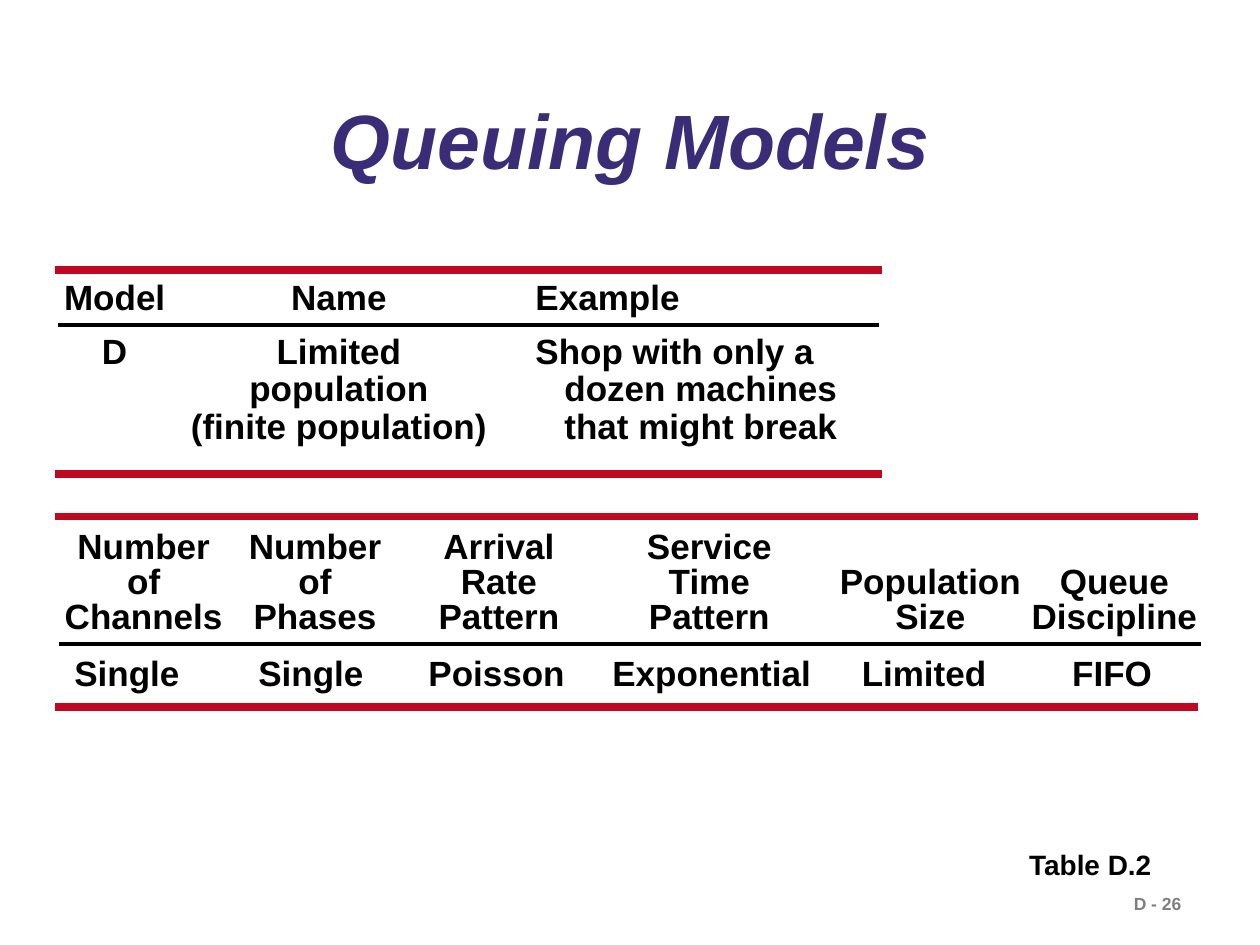
from dataclasses import dataclass

from lxml import etree
from pptx import Presentation
from pptx import util as u
from pptx.dml import color as c
from pptx.enum import shapes, text
from pptx.oxml import ns

LEFT, CENTER = text.PP_ALIGN.LEFT, text.PP_ALIGN.CENTER
TOP, BOTTOM = text.MSO_ANCHOR.TOP, text.MSO_ANCHOR.BOTTOM


@dataclass(frozen=True)
class Theme:
    """Colours, font and type sizes of the slide."""
    font: str = "Arial"
    title: str = "3A2C76"
    ink: str = "000000"
    rule: str = "BF0922"
    muted: str = "7F7F7F"
    title_pt: float = 44
    table_pt: float = 20
    caption_pt: float = 16
    number_pt: float = 10
    rule_pt: float = 4.5
    header_rule_pt: float = 2.25


THEME = Theme()


@dataclass(frozen=True)
class RowStyle:
    """Layout shared by the cells of one table row."""
    aligns: tuple
    insets: tuple
    top: float = 0
    bottom: float = 0
    anchor: int = TOP
    spacing: float = 1.0
    hanging: float = 0


def style(p, size, color, align=LEFT, spacing=1.0, italic=False):
    """Format one paragraph in the bold slide font."""
    p.alignment, p.line_spacing = align, spacing
    f = p.font
    f.name, f.size, f.bold, f.italic = THEME.font, u.Pt(size), True, italic
    f.color.rgb = c.RGBColor.from_string(color)


def add_title(s, box, words):
    """Place the title placeholder in the box."""
    sp = s.shapes.title
    sp.left, sp.top, sp.width, sp.height = map(u.Inches, box)
    tf = sp.text_frame
    tf.text = words
    tf.auto_size = text.MSO_AUTO_SIZE.NONE
    tf.vertical_anchor = text.MSO_ANCHOR.MIDDLE
    style(tf.paragraphs[0], THEME.title_pt, THEME.title, CENTER, 0.9, True)


def add_label(s, box, words, size, color):
    """Add a single line of text in the box."""
    tf = s.shapes.add_textbox(*map(u.Inches, box)).text_frame
    tf.text = words
    style(tf.paragraphs[0], size, color)


def add_rule(s, left, right, y, color, width):
    """Draw a horizontal rule."""
    sp = s.shapes.add_connector(
        shapes.MSO_CONNECTOR.STRAIGHT, *map(u.Inches, (left, y, right, y)))
    sp.line.color.rgb = c.RGBColor.from_string(color)
    sp.line.width = u.Pt(width)
    etree.SubElement(sp._element.spPr, ns.qn("a:effectLst"))


def clear_cell(cell):
    """Remove the borders and fill of a cell."""
    tcPr = cell._tc.get_or_add_tcPr()
    for side in "LRTB":
        ln = etree.SubElement(tcPr, ns.qn(f"a:ln{side}"))
        etree.SubElement(ln, ns.qn("a:noFill"))
    cell.fill.background()


def fill_cell(cell, words, row, col):
    """Write and format one cell by its row style."""
    cell.text = words
    cell.vertical_anchor = row.anchor
    cell.margin_left, cell.margin_right = u.Inches(row.insets[col]), 0
    cell.margin_top, cell.margin_bottom = u.Inches(row.top), u.Inches(row.bottom)
    p = cell.text_frame.paragraphs[0]
    style(p, THEME.table_pt, THEME.ink, row.aligns[col], row.spacing)
    if row.hanging and row.aligns[col] == LEFT:
        pPr = p._p.get_or_add_pPr()
        pPr.set("marL", str(u.Inches(row.hanging)))
        pPr.set("indent", str(-u.Inches(row.hanging)))


def add_ruled_table(s, box, widths, heights, rows, styles, header_span):
    """Add a header and body row between heavy rules."""
    left, top, width, height = box
    table = s.shapes.add_table(len(rows), len(widths), *map(u.Inches, box)).table
    table.first_row = table.horz_banding = False
    for column, column_width in zip(table.columns, widths):
        column.width = u.Inches(column_width)
    for i, (words, row) in enumerate(zip(rows, styles)):
        table.rows[i].height = u.Inches(heights[i])
        for j, word in enumerate(words):
            cell = table.cell(i, j)
            clear_cell(cell)
            fill_cell(cell, word, row, j)
    add_rule(s, *header_span, top + heights[0], THEME.ink, THEME.header_rule_pt)
    for y in (top, top + height):
        add_rule(s, left, left + width, y, THEME.rule, THEME.rule_pt)


def add_model_table(s, box):
    """Add the table that names the model."""
    aligns, insets = (CENTER, CENTER, LEFT), (0, 0.02, 0.27)
    add_ruled_table(
        s, box, (0.94, 2.6, 3.02), (0.44, 1.18),
        [("Model", "Name", "Example"),
         ("D", "Limited\vpopulation\v(finite population)",
          "Shop with only a\vdozen machines\vthat might break")],
        [RowStyle(aligns, insets, top=0.07),
         RowStyle(aligns, insets, top=0.08, spacing=0.95, hanging=0.23)],
        (0.46, 6.98))


def add_traits_table(s, box):
    """Add the table of the model's traits."""
    add_ruled_table(
        s, box, (1.35, 1.4, 1.52, 1.84, 1.61, 1.35), (1.01, 0.5),
        [("Number\vof\vChannels", "Number\vof\vPhases", "Arrival\vRate\vPattern",
          "Service\vTime\vPattern", "Population\vSize", "Queue\vDiscipline"),
         ("Single", "Single", "Poisson", "Exponential", "Limited", "FIFO")],
        [RowStyle((CENTER,) * 6, (0.05, 0.02, 0.02, 0, 0.06, 0.02),
                  bottom=0.06, anchor=BOTTOM, spacing=0.9),
         RowStyle((LEFT,) * 6, (0.15, 0.26, 0.21, 0.15, 0.29, 0.35), top=0.09)],
        (0.47, 9.53))


def main():
    """Build and save the slide."""
    prs = Presentation()
    prs.slide_width, prs.slide_height = u.Inches(10), u.Inches(7.5)
    s = prs.slides.add_slide(prs.slide_layouts[5])
    add_title(s, (0.58, 0.63, 8.85, 1.04), "Queuing Models")
    add_model_table(s, (0.44, 2.14, 6.56, 1.62))
    add_traits_table(s, (0.44, 4.1, 9.07, 1.51))
    add_label(s, (8.07, 6.68, 1.18, 0.37), "Table D.2", THEME.caption_pt, THEME.ink)
    add_label(s, (8.9, 7.04, 1.09, 0.27), "D - 26", THEME.number_pt, THEME.muted)
    prs.save("out.pptx")


if __name__ == "__main__":
    main()
